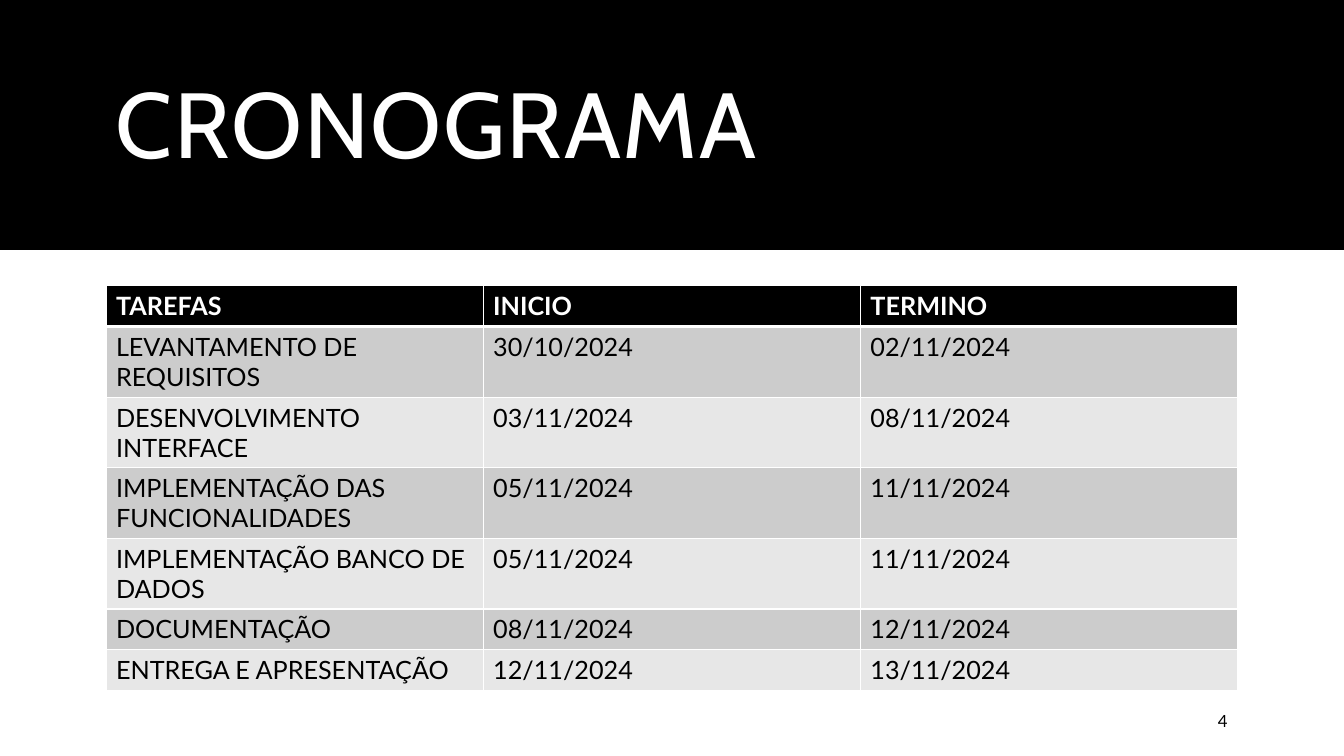
from pptx import Presentation
from pptx import util as u
from pptx.dml import color
from pptx.enum import shapes, text
from pptx.oxml import ns
from lxml import etree

COLORS = {"black": "000000", "white": "FFFFFF", "dark_band": "CCCCCC", "light_band": "E7E7E7"}
SCHEDULE = [
    ("TAREFAS", "INICIO", "TERMINO"),
    ("LEVANTAMENTO DE REQUISITOS", "30/10/2024", "02/11/2024"),
    ("DESENVOLVIMENTO INTERFACE", "03/11/2024", "08/11/2024"),
    ("IMPLEMENTAÇÃO DAS FUNCIONALIDADES", "05/11/2024", "11/11/2024"),
    ("IMPLEMENTAÇÃO BANCO DE DADOS", "05/11/2024", "11/11/2024"),
    ("DOCUMENTAÇÃO", "08/11/2024", "12/11/2024"),
    ("ENTREGA E APRESENTAÇÃO", "12/11/2024", "13/11/2024"),
]
LEFT, WIDTH = 2.67, 28.52


def add_run(paragraph, content, font, size, color_name, bold=False):
    run = paragraph.add_run()
    run.text = content
    run.font.name = font
    run.font.size = u.Pt(size)
    run.font.bold = bold
    run.font.color.rgb = color.RGBColor.from_string(COLORS[color_name])
    return run


def add_border(cell, side, points):
    line = etree.SubElement(cell._tc.get_or_add_tcPr(), ns.qn(f"a:ln{side}"), w=str(u.Pt(points)))
    fill = etree.SubElement(line, ns.qn("a:solidFill"))
    etree.SubElement(fill, ns.qn("a:srgbClr"), val=COLORS["white"])


presentation = Presentation()
presentation.slide_width = u.Cm(33.87)
presentation.slide_height = u.Cm(19.05)
slide = presentation.slides.add_slide(presentation.slide_layouts[6])

banner = slide.shapes.add_shape(
    shapes.MSO_SHAPE.RECTANGLE, 0, 0, presentation.slide_width, u.Cm(6.3))
banner.shadow.inherit = False
banner.fill.solid()
banner.fill.fore_color.rgb = color.RGBColor.from_string(COLORS["black"])
banner.line.fill.background()

title = slide.shapes.add_textbox(u.Cm(LEFT), u.Cm(0.89), u.Cm(WIDTH), u.Cm(4.72))
title.text_frame.word_wrap = True
title.text_frame.vertical_anchor = text.MSO_ANCHOR.MIDDLE
paragraph = title.text_frame.paragraphs[0]
paragraph.line_spacing = 0.9
title_run = add_run(paragraph, "CRONOGRAMA", "Cabin", 66, "white")
title_run.font._element.set("spc", "120")

page_number = slide.shapes.add_textbox(u.Cm(28.6), u.Cm(17.65), u.Cm(2.59), u.Cm(1.02))
page_number.text_frame.word_wrap = True
page_number.text_frame.vertical_anchor = text.MSO_ANCHOR.MIDDLE
paragraph = page_number.text_frame.paragraphs[0]
paragraph.alignment = text.PP_ALIGN.RIGHT
add_run(paragraph, "4", "Lato", 12, "black")

table = slide.shapes.add_table(
    len(SCHEDULE), 3, u.Cm(LEFT), u.Cm(7.2), u.Cm(WIDTH), u.Cm(1.03 * len(SCHEDULE))).table
for row_index, values in enumerate(SCHEDULE):
    header = row_index == 0
    band = "black" if header else "dark_band" if row_index % 2 else "light_band"
    for column_index, value in enumerate(values):
        cell = table.cell(row_index, column_index)
        add_run(cell.text_frame.paragraphs[0], value, "Lato", 18,
                "white" if header else "black", header)
        add_border(cell, "L", 1)
        add_border(cell, "R", 1)
        add_border(cell, "T", 3 if row_index == 1 else 1)
        add_border(cell, "B", 3 if header else 1)
        cell.fill.solid()
        cell.fill.fore_color.rgb = color.RGBColor.from_string(COLORS[band])

presentation.save("out.pptx")
